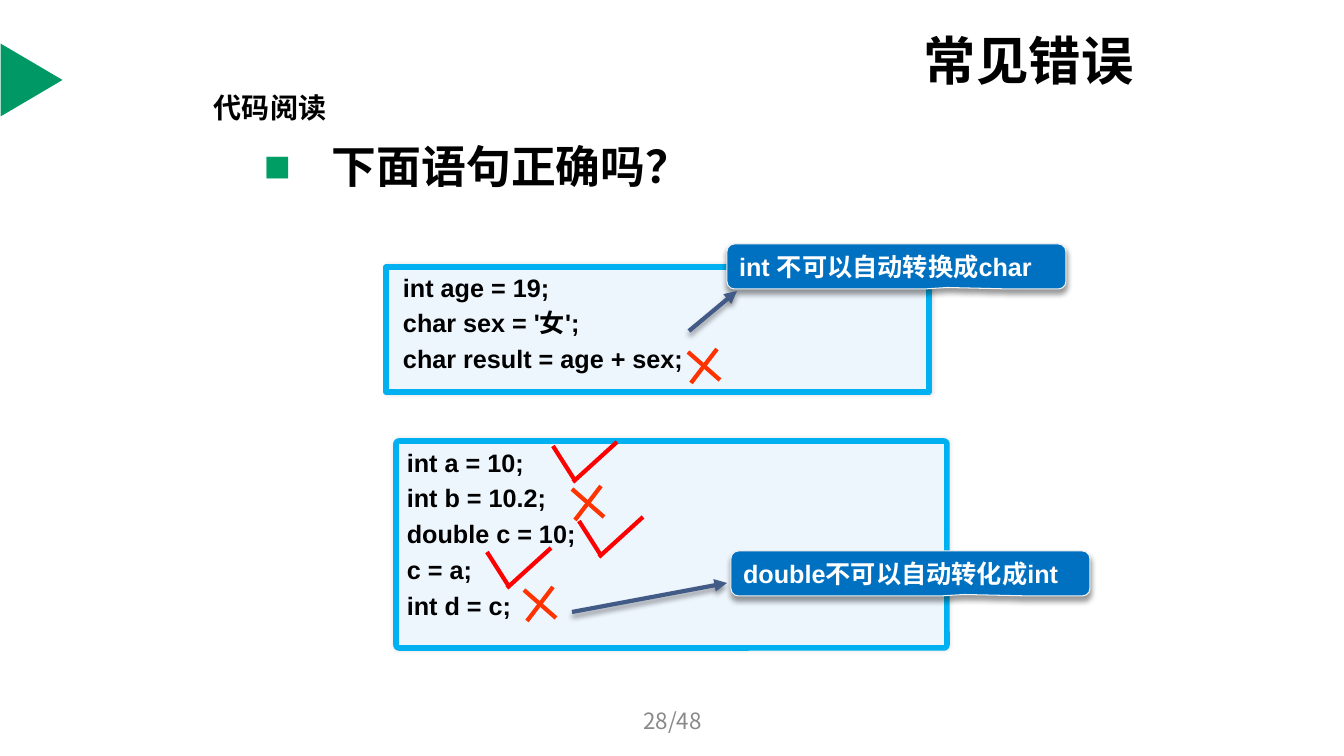
from dataclasses import dataclass
from lxml import etree
from pptx import Presentation
from pptx.dml.color import RGBColor
from pptx.enum import shapes, text
from pptx.oxml.ns import qn
from pptx.util import Pt

TITLE = ("常见错误", (914, 31, 242, 57))
HEAD = ("代码阅读", (204, 85, 133, 44))
ASK = ("下面语句正确吗？", (254, 134, 843, 567))
PAGE = ("28/48", (460, 701, 425, 40))
FLAG = (-5, 49, 73, 62)
CODES = [  # lines, box, corner, left inset
    (["int age = 19;", "char sex = '女';", "char result = age + sex;"],
     (386, 267, 543, 125), 0, 17),
    (["int a = 10;", "int b = 10.2;", "double c = 10;", "c = a;", "int d = c;"],
     (396, 441, 551, 207), 0.015, 10),
]
NOTES = [  # wording, box, arrow
    ("int 不可以自动转换成char", (727, 244, 339, 45), (689, 331, 737, 291)),
    ("double不可以自动转化成int", (731, 551, 359, 45), (572, 612, 727, 583)),
]
CROSS = [(0, 3, 32, 31), (29, 0, 3, 34)]
TICK = [(0, 0, 21, 33), (20, 36, 64, -4)]
WRONG = [(688, 349), (572, 486), (524, 587)]
RIGHT = [(553, 446), (579, 521), (487, 552)]


@dataclass(frozen=True)
class Theme:
    green: str = "009966"
    bullet: str = "009E64"
    ink: str = "000000"
    gray: str = "898989"
    white: str = "FFFFFF"
    pale: str = "EDF5FD"
    sky: str = "00B0F0"
    blue: str = "0070C0"
    edge: str = "F2F2F2"
    arrow: str = "415A86"
    cross: str = "FF3300"
    tick: str = "FF0000"
    title: float = 37.4
    ask: int = 32
    head: int = 20
    code: int = 18
    page: int = 16
    latin: str = "Arial"
    cjk: str = "Noto Sans CJK SC"
    soft: tuple = (10, 3, 0, 0)  # alpha %, blur pt, distance pt, angle
    drop: tuple = (40, 4, 3, 90)


T = Theme()
UNIT = 12192000 / 1344
deck = Presentation()
deck.slide_width, deck.slide_height = 12192000, 6858000
slide = deck.slides.add_slide(deck.slide_layouts[5])
items = slide.shapes


def px(*nums):
    return [round(n * UNIT) for n in nums]


def rgb(code):
    return RGBColor.from_string(code)


def sub(node, tag, **attrs):
    return etree.SubElement(node, qn("a:" + tag), {k: str(v) for k, v in attrs.items()})


def shade(node, look=None):
    """Set the effect list: one outer shadow, or none."""
    effects = sub(node, "effectLst")
    if look:
        alpha, blur, dist, angle = look
        outer = sub(effects, "outerShdw", blurRad=Pt(blur), dist=Pt(dist),
                    dir=angle * 60000, algn="ctr", rotWithShape=0)
        color = sub(outer, "srgbClr", val=T.ink)
        sub(color, "alpha", val=alpha * 1000)


def write(shape, lines, size, color, font=T.cjk, bold=True, gap=0,
          left=10, anchor=text.MSO_ANCHOR.TOP, align=text.PP_ALIGN.LEFT):
    frame = shape.text_frame
    frame.text = "\n".join(lines)
    frame.word_wrap = True
    frame.auto_size = text.MSO_AUTO_SIZE.NONE
    frame.vertical_anchor = anchor
    frame.margin_left, frame.margin_right, frame.margin_top, frame.margin_bottom = px(left, 10, 5, 5)
    for para in frame.paragraphs:
        para.alignment, para.space_before = align, Pt(gap)
        para.font.size, para.font.bold, para.font.name = Pt(size), bold, font
        para.font.color.rgb = rgb(color)
        for run in para.runs:
            sub(run.font._element, "ea", typeface=T.cjk)
    return frame


def box(area):
    return items.add_textbox(*px(*area))


def panel(kind, area, fill, edge=None, width=0, look=None, adjust=()):
    shape = items.add_shape(kind, *px(*area))
    for i, value in enumerate(adjust):
        shape.adjustments[i] = value
    shape.fill.solid()
    shape.fill.fore_color.rgb = rgb(fill)
    if edge:
        shape.line.color.rgb = rgb(edge)
        shape.line.width = Pt(width)
    else:
        shape.line.fill.background()
    shade(shape._element.spPr, look)
    return shape


def stroke(ends, color, look=None, head=False):
    line = items.add_connector(shapes.MSO_CONNECTOR.STRAIGHT, *px(*ends))
    line.line.color.rgb = rgb(color)
    line.line.width = Pt(3)
    if head:
        sub(line.line._get_or_add_ln(), "tailEnd", type="triangle")
    shade(line._element.spPr, look)


def mark(spots, parts, color):
    for x, y in spots:
        for x1, y1, x2, y2 in parts:
            stroke((x + x1, y + y1, x + x2, y + y2), color)


KIND = shapes.MSO_SHAPE
MIDDLE = text.MSO_ANCHOR.MIDDLE

panel(KIND.ISOSCELES_TRIANGLE, FLAG, T.green).rotation = 90

title = items.title
title.left, title.top, title.width, title.height = px(*TITLE[1])
write(title, [TITLE[0]], T.title, T.ink, anchor=MIDDLE)

head = write(box(HEAD[1]), [HEAD[0]], T.head, T.ink)
head.word_wrap = False
font = head.paragraphs[0].runs[0].font
shade(font._element, T.drop)
font._element.insert(0, font._element[-1])  # effects precede typefaces

ask = write(box(ASK[1]), [ASK[0]], T.ask, T.ink)
props = ask.paragraphs[0]._p.get_or_add_pPr()
indent = px(68)[0]
props.set("marL", str(indent))
props.set("indent", str(-indent))
tint = etree.Element(qn("a:buClr"))
sub(tint, "srgbClr", val=T.bullet)
face = etree.Element(qn("a:buFont"), typeface=T.latin)
sign = etree.Element(qn("a:buChar"), char="■")
for node in (tint, face, sign):
    props.find(qn("a:defRPr")).addprevious(node)

for lines, area, corner, left in CODES:
    shape = panel(KIND.ROUNDED_RECTANGLE, area, T.pale, T.sky, 4, T.soft, [corner])
    write(shape, lines, T.code, T.ink, T.latin, gap=4, left=left)

for words, area, ends in NOTES:
    shape = panel(KIND.ROUNDED_RECTANGULAR_CALLOUT, area, T.blue, T.edge, 0.75,
                  T.drop, [0.15, 0.468, 0.167])
    write(shape, [words], T.code, T.white, T.latin, anchor=MIDDLE)
    stroke(ends, T.arrow, T.drop, head=True)

mark(WRONG, CROSS, T.cross)
mark(RIGHT, TICK, T.tick)

write(box(PAGE[1]), [PAGE[0]], T.page, T.gray, bold=False, anchor=MIDDLE,
      align=text.PP_ALIGN.CENTER)

deck.save("out.pptx")
